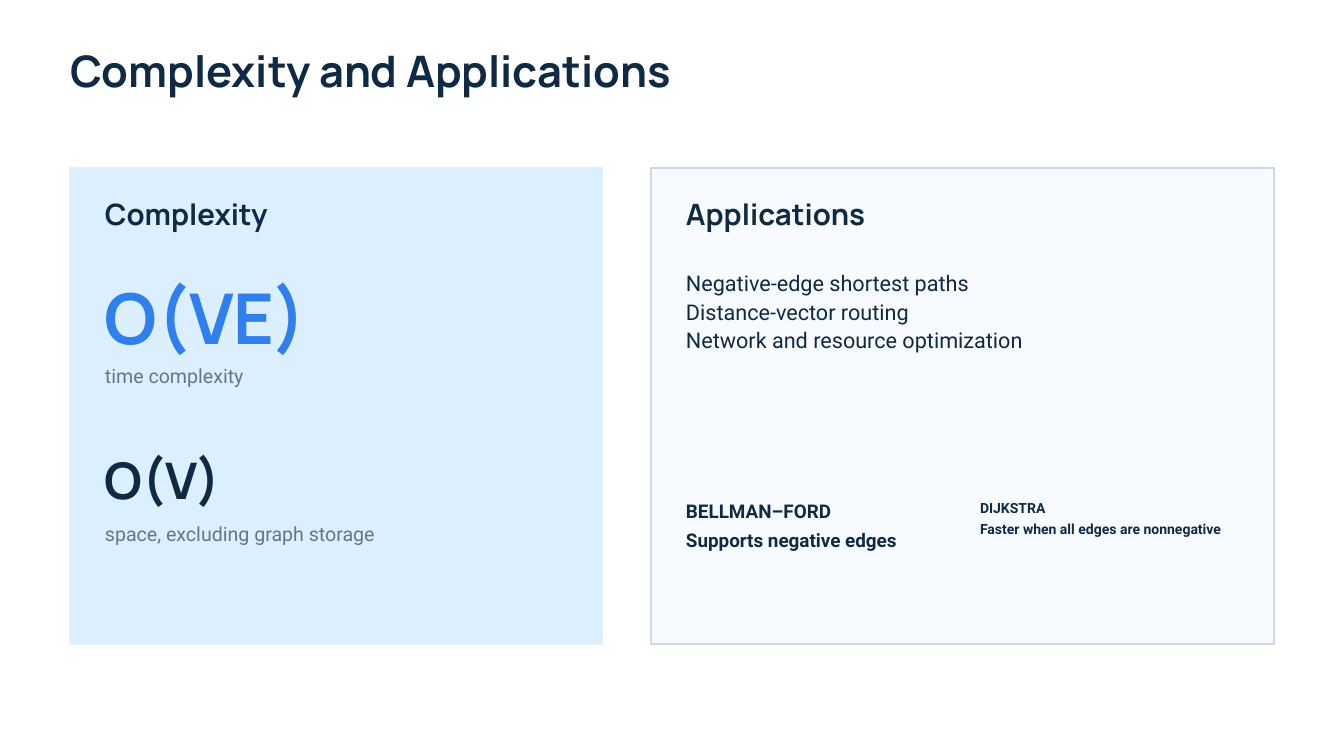
from pptx import Presentation
from pptx import util as u
from pptx.dml.color import RGBColor
from pptx.enum import shapes, text
from lxml import etree

# Grid: 192 columns by 108 rows of square cells
WIDE, HIGH = u.Inches(20), u.Inches(11.25)
COLS, ROWS = 192, 108

NAVY = RGBColor(0x10, 0x2A, 0x43)
BLUE = RGBColor(0x2F, 0x80, 0xED)
GREY = RGBColor(0x65, 0x75, 0x8B)
SKY = RGBColor(0xDC, 0xEF, 0xFF)
PALE = RGBColor(0xF7, 0xFB, 0xFF)
EDGE = RGBColor(0xCB, 0xD8, 0xE6)

HEAD, BODY = "Manrope", "Roboto"
TOP, TALL = 24, 68      # rows of both panels
LEFT, RIGHT = 15, 98    # text columns inside the panels


def cells(col, row, wide, high):
    """Turn grid cells into left, top, width and height."""
    return (int(WIDE * col / COLS), int(HIGH * row / ROWS),
            int(WIDE * wide / COLS), int(HIGH * high / ROWS))


def place(shape, box):
    shape.left, shape.top, shape.width, shape.height = cells(*box)


def write(shape, lines, size, lead, font=BODY, color=NAVY, bold=False):
    """Fill a shape with plain left-aligned lines."""
    frame = shape.text_frame
    frame.margin_left = frame.margin_top = 0
    frame.margin_right = frame.margin_bottom = 0
    frame.word_wrap = True
    frame.vertical_anchor = text.MSO_ANCHOR.TOP
    frame.auto_size = text.MSO_AUTO_SIZE.SHAPE_TO_FIT_TEXT
    for i, line in enumerate(lines):
        para = frame.add_paragraph() if i else frame.paragraphs[0]
        para.alignment = text.PP_ALIGN.LEFT
        para.line_spacing = u.Pt(lead)
        para.space_before = para.space_after = u.Pt(0)
        run = para.add_run()
        run.text = line
        run.font.name, run.font.size = font, u.Pt(size)
        run.font.bold = bold
        run.font.color.rgb = color


def label(slide, box, lines, size, lead, **style):
    write(slide.shapes.add_textbox(*cells(*box)), lines, size, lead, **style)


def panel(slide, col, wide, fill, line):
    box = slide.shapes.add_shape(shapes.MSO_SHAPE.RECTANGLE,
                                 *cells(col, TOP, wide, TALL))
    box.shadow.inherit = False
    box.fill.solid()
    box.fill.fore_color.rgb = fill
    box.line.color.rgb = line
    box.line.width = u.Pt(1.5)


def header(slide, col, wide, word):
    label(slide, (col, 28.6, wide, 4.9), [word], 31.5, 33.1,
          font=HEAD, bold=True)


def metric(slide, row, high, value, size, color, note, below):
    """A large value with its caption underneath."""
    label(slide, (LEFT, row, 65, high), [value], size, size * 1.4,
          font=HEAD, color=color, bold=True)
    label(slide, (LEFT, below, 65, 3.6), [note], 21, 27.3, color=GREY)


def listing(shape, box, lines):
    """A body placeholder without bullets, brought to the front."""
    place(shape, box)
    write(shape, lines, 23.2, 30.2)
    for para in shape.text_frame.paragraphs:
        props = para._p.get_or_add_pPr()
        props.set("marL", "0")
        props.set("indent", "0")
        etree.SubElement(props, props.tag.replace("pPr", "buNone"))
    shape.element.getparent().append(shape.element)


def main():
    deck = Presentation()
    deck.slide_width, deck.slide_height = WIDE, HIGH
    slide = deck.slides.add_slide(deck.slide_layouts[1])

    # Title
    title = slide.shapes.title
    place(title, (10, 7.3, 150, 7.1))
    write(title, ["Complexity and Applications"], 46.5, 48.8,
          font=HEAD, bold=True)

    # Complexity
    panel(slide, 10, 76, SKY, SKY)
    header(slide, LEFT, 65, "Complexity")
    metric(slide, 37.25, 13.7, "O(VE)", 75, BLUE, "time complexity", 51.75)
    metric(slide, 62.7, 9.8, "O(V)", 54, NAVY,
           "space, excluding graph storage", 74.3)

    # Applications
    panel(slide, 93, 89, PALE, EDGE)
    header(slide, RIGHT, 70, "Applications")
    listing(slide.placeholders[1], (RIGHT, 38.3, 76, 11.9),
            ["Negative-edge shortest paths", "Distance-vector routing",
             "Network and resource optimization"])

    # Comparison of the two algorithms
    label(slide, (RIGHT, 70.6, 35, 7.7),
          ["BELLMAN–FORD", "Supports negative edges"],
          20.2, 30.4, bold=True)
    label(slide, (140, 70.7, 36, 5.7),
          ["DIJKSTRA", "Faster when all edges are nonnegative"],
          15, 22.5, bold=True)

    deck.save("out.pptx")


if __name__ == "__main__":
    main()
